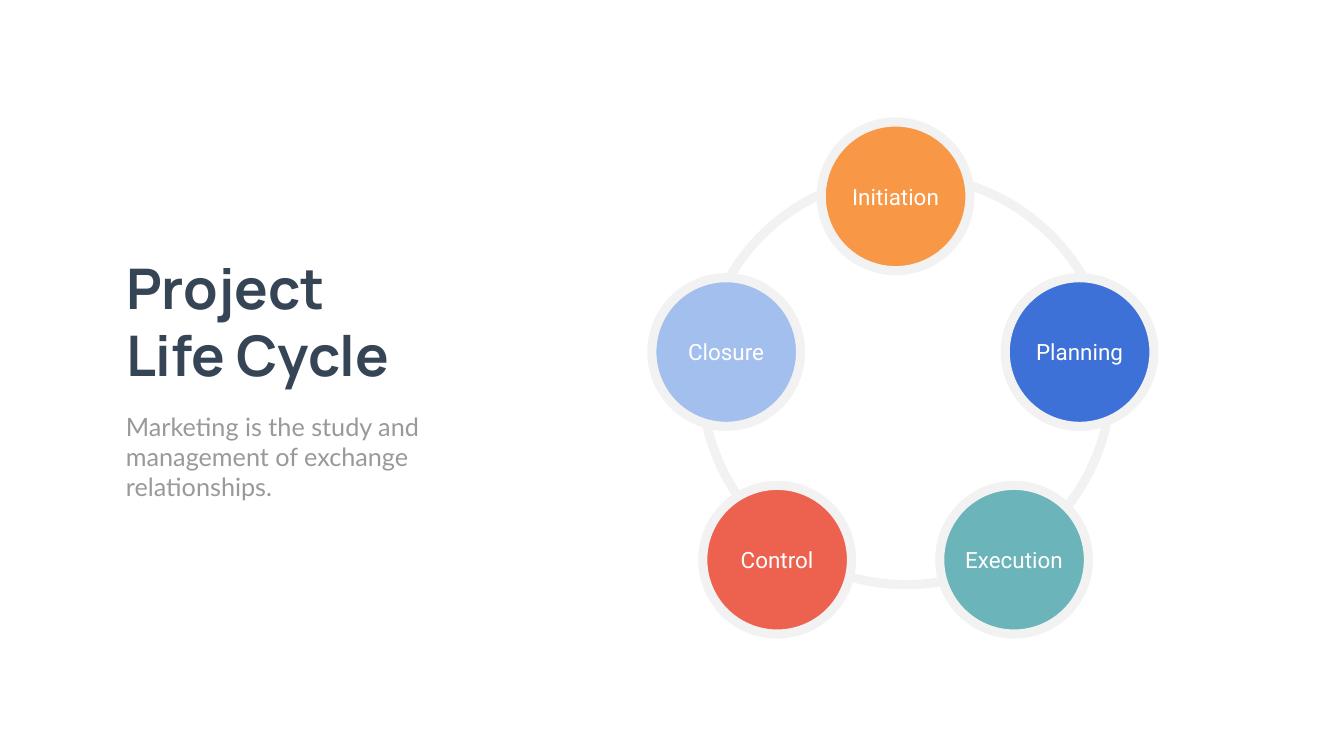
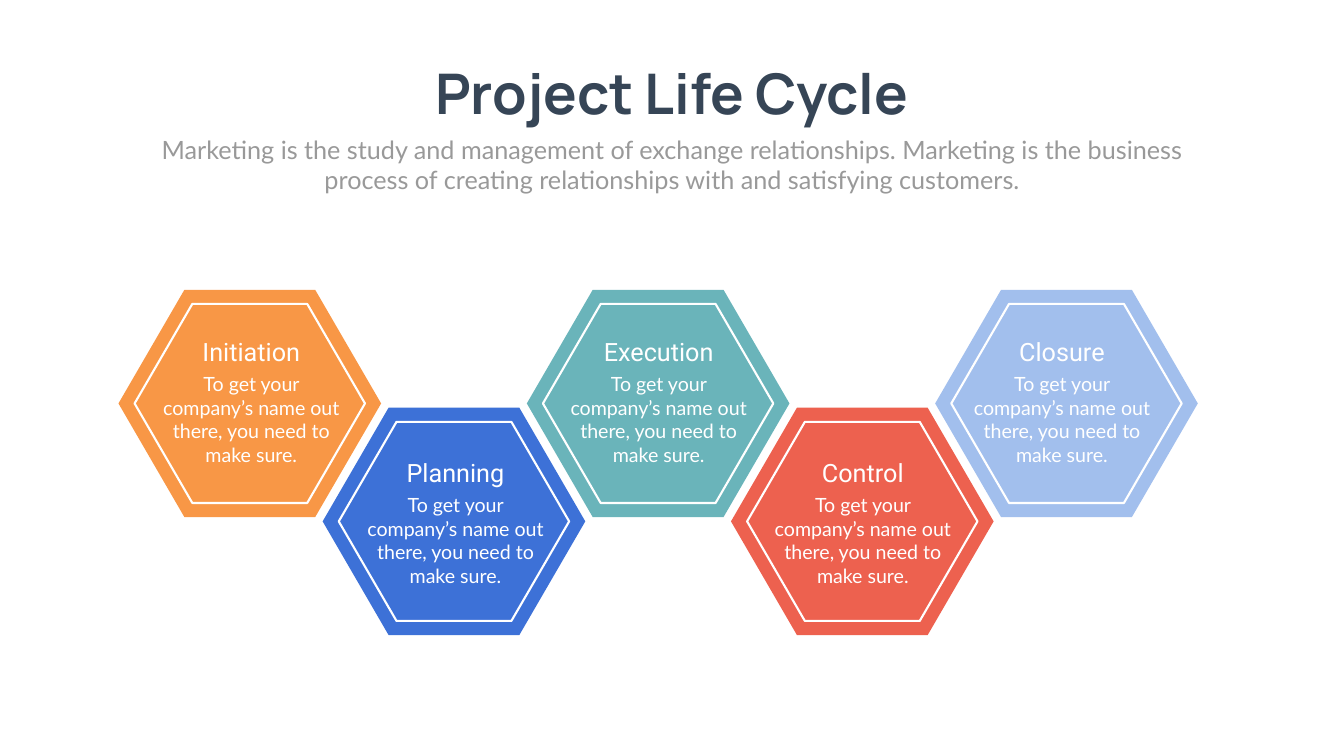
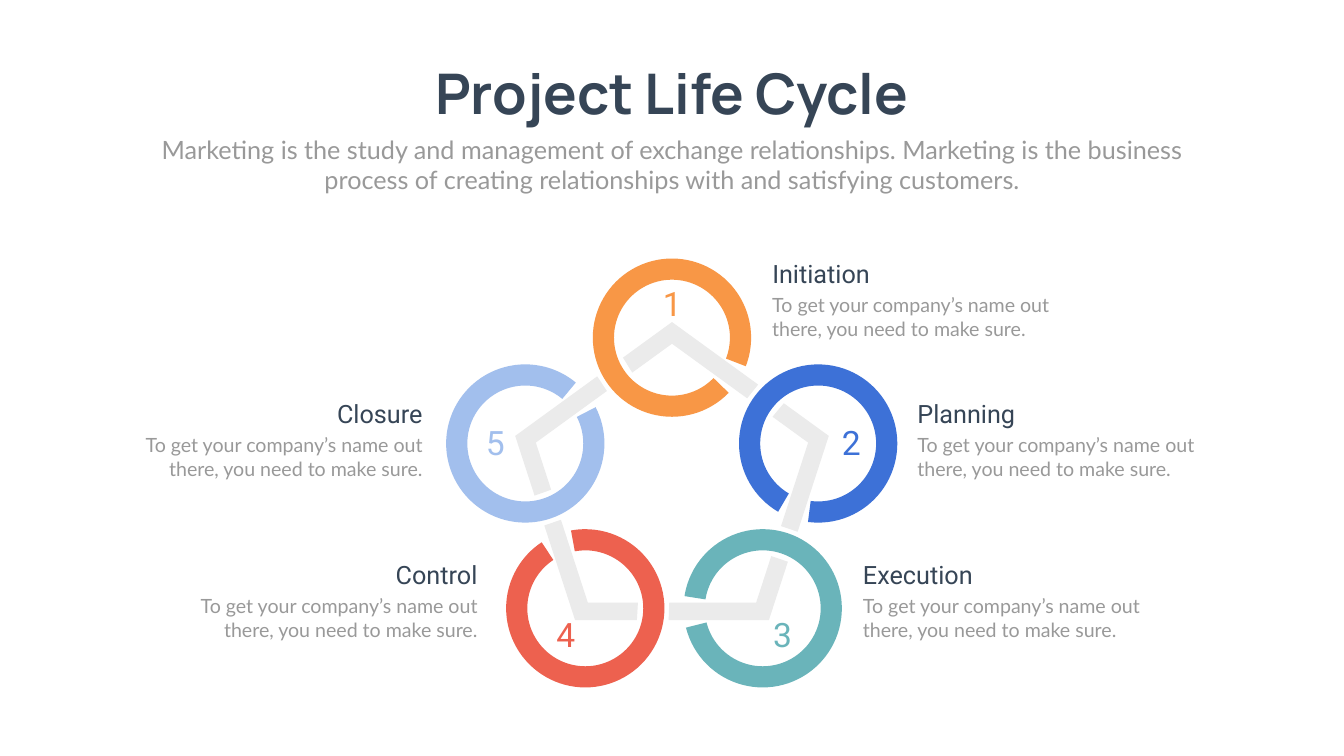
from itertools import cycle
from math import atan2, cos, degrees, hypot, sin, sqrt, tau

from pptx import Presentation
from pptx.dml.color import RGBColor
from pptx.enum.shapes import MSO_SHAPE
from pptx.enum.text import MSO_ANCHOR, MSO_AUTO_SIZE, PP_ALIGN
from pptx.util import Inches, Pt

NAVY = RGBColor(0x36, 0x45, 0x56)
GREY = RGBColor(0x99, 0x99, 0x99)
TRACK = RGBColor(0xF2, 0xF2, 0xF2)
BAND = RGBColor(0xEB, 0xEB, 0xEB)
WHITE = RGBColor(0xFF, 0xFF, 0xFF)
ORANGE = RGBColor(0xF8, 0x97, 0x46)
BLUE = RGBColor(0x3D, 0x71, 0xD7)
TEAL = RGBColor(0x6A, 0xB4, 0xBA)
RED = RGBColor(0xED, 0x61, 0x4F)
LIGHT_BLUE = RGBColor(0xA2, 0xBF, 0xED)

LEFT, CENTER, RIGHT = PP_ALIGN.LEFT, PP_ALIGN.CENTER, PP_ALIGN.RIGHT

PHASES = [
    ("Initiation", ORANGE),
    ("Planning", BLUE),
    ("Execution", TEAL),
    ("Control", RED),
    ("Closure", LIGHT_BLUE),
]
TITLE = "Project Life Cycle"
SHORT_INTRO = "Marketing is the study and management of exchange relationships."
LONG_INTRO = SHORT_INTRO + (
    " Marketing is the business process of creating relationships"
    " with and satisfying customers."
)
PHASE_NOTE = "To get your company’s name out there, you need to make sure."


def inches(*lengths):
    return [Inches(length) for length in lengths]


def write(frame, text, size, font, color, align=LEFT, bold=False):
    frame.word_wrap = True
    frame.auto_size = MSO_AUTO_SIZE.NONE
    frame.vertical_anchor = MSO_ANCHOR.TOP
    frame.text = text
    paragraph = frame.paragraphs[0]
    paragraph.alignment = align
    paragraph.font.size = Pt(size)
    paragraph.font.name = font
    paragraph.font.bold = bold
    paragraph.font.color.rgb = color


def add_text(slide, box, *style):
    write(slide.shapes.add_textbox(*inches(*box)).text_frame, *style)


def paint(shape, fill=None, line=None, line_width=0):
    shape.shadow.inherit = False
    if fill is None:
        shape.fill.background()
    else:
        shape.fill.solid()
        shape.fill.fore_color.rgb = fill
    if line is None:
        shape.line.fill.background()
    else:
        shape.line.color.rgb = line
        shape.line.width = Pt(line_width)


def add_preset(slide, preset, box, **colors):
    shape = slide.shapes.add_shape(preset, *inches(*box))
    paint(shape, **colors)
    return shape


def add_outline(slide, points, fill):
    start, *rest = [inches(*point) for point in points]
    builder = slide.shapes.build_freeform(*start)
    builder.add_line_segments(rest, close=True)
    paint(builder.convert_to_shape(), fill=fill)


def add_header(slide, title_box, intro, intro_box, align):
    title = slide.shapes.title
    title.left, title.top, title.width, title.height = inches(*title_box)
    write(title.text_frame, TITLE, 80, "Manrope", NAVY, align, True)
    add_text(slide, intro_box, intro, 36, "Lato", GREY, align)


def add_centered_header(slide):
    add_header(slide, (8.35, 1.12, 9.95, 1.45), LONG_INTRO,
               (2.92, 2.61, 20.82, 1.31), CENTER)


def add_caption(slide, box, phase, align, heading_color, note_color):
    """Place a phase heading and the note below it, aligned within the box."""
    left, top, width, height = box
    heading_width, heading_height = 2.95, 0.7
    shift = {LEFT: 0, CENTER: 0.5, RIGHT: 1}[align] * (width - heading_width)
    add_text(slide, (left + shift, top, heading_width, heading_height),
             phase, 36, "Roboto", heading_color, align)
    add_text(slide, (left, top + heading_height, width, height - heading_height),
             PHASE_NOTE, 28, "Lato", note_color, align)


def build_circle_slide(slide):
    add_header(slide, (2.4, 4.97, 6.04, 2.79), SHORT_INTRO,
               (2.4, 8.11, 6.04, 1.92), LEFT)
    add_preset(slide, MSO_SHAPE.OVAL, (13.92, 3.48, 8.12, 8.12),
               line=TRACK, line_width=13)
    corners = [(16.29, 2.42), (19.94, 5.51), (18.64, 9.63), (13.94, 9.63), (12.93, 5.51)]
    for (phase, color), corner in zip(PHASES, corners):
        node = add_preset(slide, MSO_SHAPE.OVAL, (*corner, 2.95, 2.95),
                          fill=color, line=TRACK, line_width=13)
        frame = node.text_frame
        write(frame, phase, 32, "Roboto", WHITE, CENTER)
        frame.vertical_anchor = MSO_ANCHOR.MIDDLE
        frame.margin_left = frame.margin_right = 0


def add_hexagon(slide, box, **colors):
    hexagon = add_preset(slide, MSO_SHAPE.HEXAGON, box, **colors)
    hexagon.adjustments[0] = 0.29


def build_hexagon_slide(slide):
    add_centered_header(slide)
    width, height, pitch = 5.21, 4.51, 4.05
    inset_x, inset_y = 0.32, 0.28
    caption_lefts = [3.11, 7.16, 11.19, 15.24, 19.19]
    rows = cycle([(5.75, 6.63), (8.09, 9.03)])
    for i, ((phase, color), caption_left, (top, caption_top)) in enumerate(
            zip(PHASES, caption_lefts, rows)):
        left = 2.35 + pitch * i
        add_hexagon(slide, (left, top, width, height), fill=color)
        add_hexagon(slide, (left + inset_x, top + inset_y,
                            width - 2 * inset_x, height - 2 * inset_y),
                    line=WHITE, line_width=3)
        add_caption(slide, (caption_left, caption_top, 3.75, 2.69),
                    phase, CENTER, WHITE, WHITE)


def pentagon_edges(radius, center=(13.33, 9.66)):
    """Edges clockwise from the top corner."""
    corners = [(center[0] + radius * sin(tau * i / 5),
                center[1] - radius * cos(tau * i / 5)) for i in range(5)]
    return list(zip(corners, corners[1:] + corners[:1]))


def crossing(edge, center, radius, leaving=False):
    """Point where a directed edge enters or leaves a circle."""
    (ax, ay), (bx, by) = edge
    length = hypot(bx - ax, by - ay)
    ux, uy = (bx - ax) / length, (by - ay) / length
    dx, dy = ax - center[0], ay - center[1]
    along = dx * ux + dy * uy
    half_chord = sqrt(along ** 2 - dx ** 2 - dy ** 2 + radius ** 2)
    t = -along + (half_chord if leaving else -half_chord)
    return ax + t * ux, ay + t * uy


def add_open_ring(slide, center, gap_edges, color):
    """Draw a ring running clockwise from the first gap edge to the second."""
    radius, thickness = 1.57, 0.42
    ring = add_preset(slide, MSO_SHAPE.BLOCK_ARC,
                      (center[0] - radius, center[1] - radius, 2 * radius, 2 * radius),
                      fill=color)
    for i, edge in enumerate(gap_edges):
        x, y = crossing(edge, center, radius - thickness / 2, leaving=True)
        angle = degrees(atan2(y - center[1], x - center[0])) % 360
        ring.adjustments[i] = angle * 0.6  # 60000 units a degree, scaled by 100000
    ring.adjustments[2] = thickness / (2 * radius)


def add_linked_rings(slide, centers):
    """Draw rings, each opened where the pentagon band leaves it."""
    outer, inner = pentagon_edges(3.27), pentagon_edges(2.84)
    for i, center in enumerate(centers):
        following = centers[(i + 1) % 5]
        add_outline(slide, [crossing(outer[i - 1], center, 1.05),
                            outer[i][0],
                            crossing(outer[i], following, 1.67),
                            crossing(inner[i], following, 1.67),
                            inner[i][0],
                            crossing(inner[i - 1], center, 1.05)], BAND)
    gaps = zip(pentagon_edges(2.72), pentagon_edges(3.39))
    for center, gap_edges, (_, color) in zip(centers, gaps, PHASES):
        add_open_ring(slide, center, gap_edges, color)


def build_ring_slide(slide):
    add_centered_header(slide)
    add_linked_rings(slide, [(13.33, 6.7), (16.23, 8.8), (15.13, 12.07),
                             (11.61, 12.07), (10.42, 8.8)])
    number_corners = [(12.89, 5.56), (16.44, 8.32), (15.08, 12.13),
                      (10.78, 12.13), (9.38, 8.32)]
    captions = [(15.22, 5.07, LEFT), (18.1, 7.85, LEFT), (17.02, 11.04, LEFT),
                (3.67, 11.04, RIGHT), (2.58, 7.85, RIGHT)]
    for number, ((phase, color), corner, (left, top, align)) in enumerate(
            zip(PHASES, number_corners, captions), start=1):
        add_text(slide, (*corner, 0.89, 0.91), str(number), 48, "Roboto", color, CENTER)
        add_caption(slide, (left, top, 5.9, 1.74), phase, align, NAVY, GREY)


def main():
    deck = Presentation()
    deck.slide_width, deck.slide_height = inches(26.66, 15)
    title_only = deck.slide_layouts[5]
    for build in (build_circle_slide, build_hexagon_slide, build_ring_slide):
        build(deck.slides.add_slide(title_only))
    deck.save("out.pptx")


if __name__ == "__main__":
    main()
